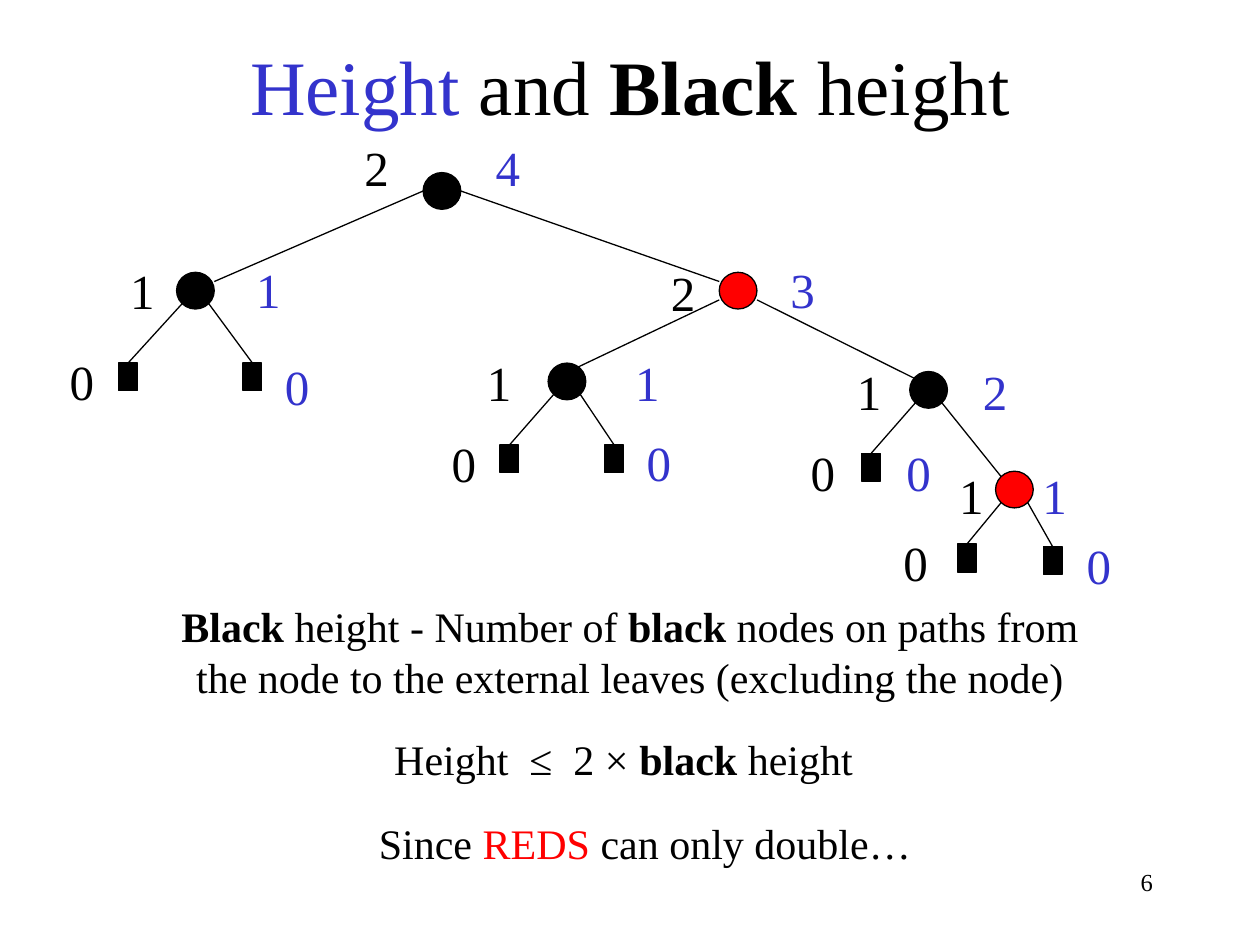
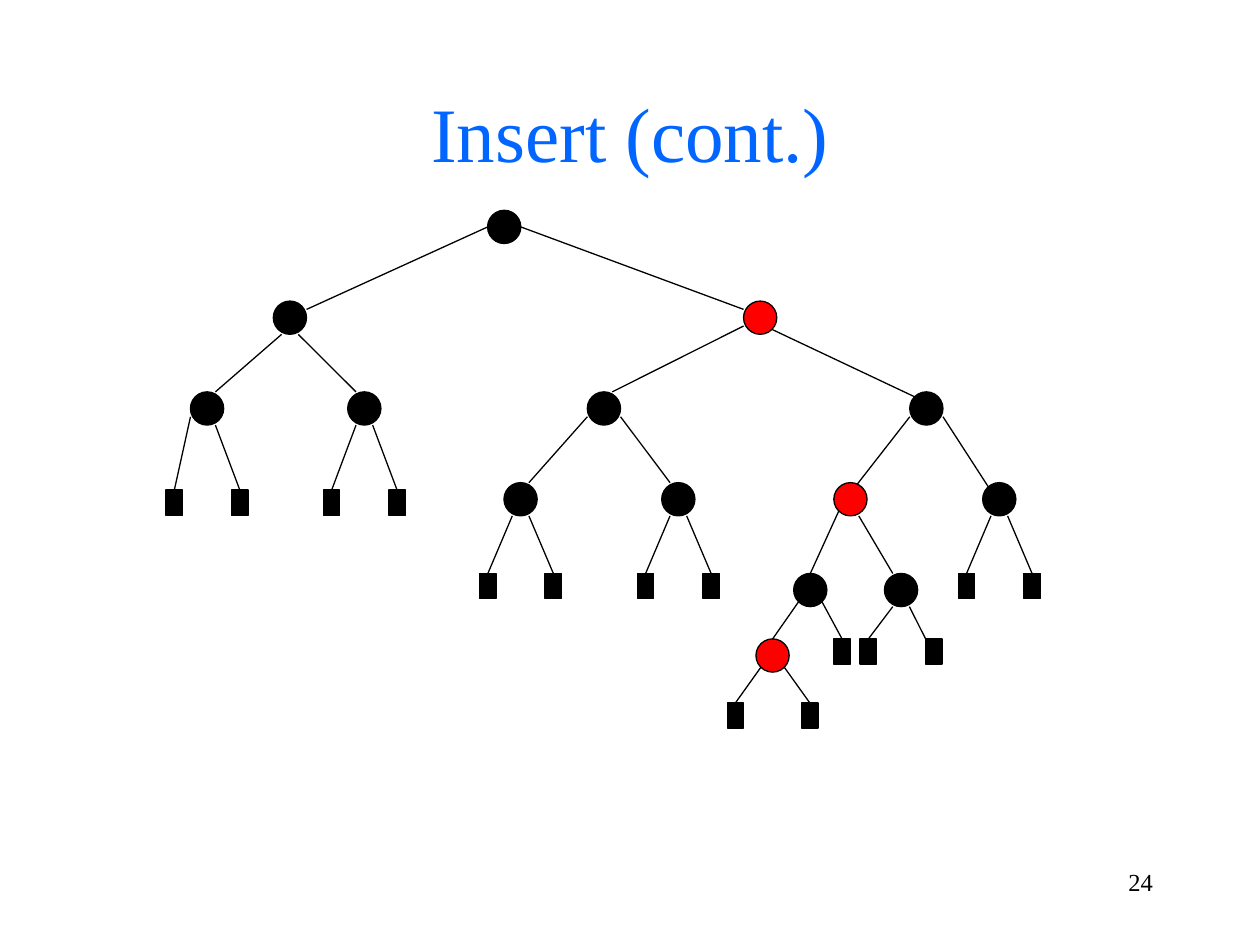
from dataclasses import dataclass

from lxml import etree
from pptx import Presentation
from pptx.dml.color import RGBColor
from pptx.enum.shapes import MSO_CONNECTOR, MSO_SHAPE
from pptx.enum.text import MSO_ANCHOR, PP_ALIGN
from pptx.oxml.ns import qn
from pptx.util import Cm, Pt

BLACK = RGBColor(0x00, 0x00, 0x00)
RED = RGBColor(0xFF, 0x00, 0x00)
INDIGO = RGBColor(0x33, 0x33, 0xCC)
BLUE = RGBColor(0x00, 0x66, 0xFF)

FONT = "Times New Roman"
LINE_WIDTH = Pt(0.75)
TITLE_SIZE, LABEL_SIZE, BODY_SIZE, NUMBER_SIZE = 44, 28, 24, 14

OVAL, RECTANGLE = MSO_SHAPE.OVAL, MSO_SHAPE.RECTANGLE
STRAIGHT = MSO_CONNECTOR.STRAIGHT
CENTER, RIGHT = PP_ALIGN.CENTER, PP_ALIGN.RIGHT
TOP, MIDDLE = MSO_ANCHOR.TOP, MSO_ANCHOR.MIDDLE

# Anchors: fractions of a node's width and height where a branch starts or ends
TOP_MIDDLE, TOP_LEFT = (0.5, 0), (0, 0)
WEST, EAST = (0, 0.5), (1, 0.5)
UPPER_WEST, UPPER_EAST = (0, 0.25), (1, 0.25)
LOWER_WEST, LOWER_EAST = (0, 0.75), (1, 0.75)
NORTH_WEST, SOUTH_WEST, SOUTH_EAST = (0.15, 0.15), (0.15, 0.85), (0.85, 0.85)
TOP_QUARTER, TOP_THREE_QUARTERS = (0.25, 0), (0.75, 0)
BOTTOM_QUARTER, BOTTOM_THREE_QUARTERS = (0.25, 1), (0.75, 1)

Anchor = tuple[float, float]


@dataclass(frozen=True)
class Span:
    text: str
    color: RGBColor = BLACK
    bold: bool = False


@dataclass(frozen=True)
class Node:
    """A tree node; its branch leaves the parent at start and arrives here at end."""
    x: float
    y: float
    start: Anchor = WEST
    end: Anchor = TOP_MIDDLE
    color: RGBColor = BLACK
    children: tuple["Node", ...] = ()
    is_leaf: bool = False


@dataclass(frozen=True)
class TreeStyle:
    circle: tuple[float, float]
    leaf: tuple[float, float]

    def size(self, node: Node) -> tuple[float, float]:
        return self.leaf if node.is_leaf else self.circle

    def point(self, node: Node, anchor: Anchor) -> tuple[int, int]:
        width, height = self.size(node)
        return Cm(node.x + width * anchor[0]), Cm(node.y + height * anchor[1])


HEIGHT_STYLE = TreeStyle(circle=(0.76, 0.74), leaf=(0.38, 0.56))
INSERT_STYLE = TreeStyle(circle=(0.67, 0.67), leaf=(0.33, 0.51))


def leaf(x: float, y: float, start: Anchor, end: Anchor = TOP_MIDDLE) -> Node:
    return Node(x, y, start, end, is_leaf=True)


def leaf_pair(parent_x: float, y: float, left: Anchor = BOTTOM_QUARTER,
              right: Anchor = BOTTOM_THREE_QUARTERS, right_end: Anchor = TOP_MIDDLE,
              spread: float = 0.66) -> tuple[Node, Node]:
    """Two leaves placed evenly on either side of a circle of the insert tree."""
    middle = parent_x + (INSERT_STYLE.circle[0] - INSERT_STYLE.leaf[0]) / 2
    return (leaf(middle - spread, y, left),
            leaf(middle + spread, y, right, right_end))


def level(depth: int) -> float:
    return 4.24 + 1.83 * depth


HEIGHT_TREE = Node(8.53, 3.48, children=(
    Node(3.56, 5.49, WEST, UPPER_EAST, children=(
        leaf(2.39, 7.32, SOUTH_WEST),
        leaf(4.9, 7.32, SOUTH_EAST))),
    Node(14.5, 5.49, EAST, UPPER_WEST, RED, (
        Node(11.05, 7.32, LOWER_WEST, (0.5, 0.25), children=(
            leaf(10.08, 8.97, SOUTH_WEST),
            leaf(12.19, 8.97, SOUTH_EAST))),
        Node(18.34, 7.49, LOWER_EAST, (0.25, 0.25), children=(
            leaf(17.37, 9.14, SOUTH_WEST),
            Node(20.07, 9.5, SOUTH_EAST, NORTH_WEST, RED, (
                leaf(19.3, 10.97, SOUTH_WEST),
                leaf(21.03, 11.02, SOUTH_EAST))))))),
))

INSERT_TREE = Node(9.83, level(0), children=(
    Node(5.51, level(1), WEST, UPPER_EAST, children=(
        Node(3.84, level(2), BOTTOM_QUARTER, TOP_THREE_QUARTERS,
             children=leaf_pair(3.84, 9.88, left=LOWER_WEST)),
        Node(7.01, level(2), BOTTOM_THREE_QUARTERS, TOP_QUARTER,
             children=leaf_pair(7.01, 9.88)))),
    Node(14.99, level(1), EAST, UPPER_WEST, RED, (
        Node(11.84, level(2), LOWER_WEST, TOP_THREE_QUARTERS, children=(
            Node(10.16, level(3), LOWER_WEST, TOP_THREE_QUARTERS,
                 children=leaf_pair(10.16, level(4))),
            Node(13.34, level(3), LOWER_EAST, TOP_QUARTER,
                 children=leaf_pair(13.34, level(4))))),
        Node(18.34, level(2), SOUTH_EAST, NORTH_WEST, children=(
            Node(16.81, level(3), LOWER_WEST, (0.7, 0.05), RED, (
                Node(16, level(4), SOUTH_WEST, TOP_MIDDLE, children=(
                    Node(15.24, 12.88, SOUTH_WEST, TOP_MIDDLE, RED,
                         leaf_pair(15.24, 14.17, SOUTH_WEST, SOUTH_EAST, spread=0.75)),
                    leaf(16.81, 12.88, SOUTH_EAST))),
                Node(17.83, level(4), BOTTOM_THREE_QUARTERS, TOP_QUARTER,
                     children=leaf_pair(17.83, 12.88, right_end=TOP_LEFT)))),
            Node(19.81, level(3), LOWER_EAST, (0.25, 0.25),
                 children=leaf_pair(19.81, level(4))))))),
))

# Labels beside the nodes: text, left, top
BLACK_HEIGHTS = (
    ("2", 6.88, 2.64), ("1", 2.16, 5.13), ("2", 13.06, 5.16), ("0", 0.94, 6.96),
    ("1", 9.35, 6.99), ("1", 16.81, 7.16), ("0", 8.64, 8.61), ("0", 15.88, 8.79),
    ("1", 18.87, 9.25), ("0", 17.75, 10.62),
)
HEIGHTS = (
    ("4", 9.53, 2.64), ("1", 4.7, 5.11), ("3", 15.47, 5.11), ("0", 5.28, 7.06),
    ("1", 12.34, 6.99), ("2", 19.35, 7.16), ("0", 12.57, 8.59), ("0", 17.81, 8.79),
    ("1", 20.55, 9.25), ("0", 21.44, 10.67),
)

# Explanations: left, top, height, lines of spans
EXPLANATIONS = (
    (0, 11.99, 2.31, (
        (Span("Black", bold=True), Span(" height - Number of "),
         Span("black", bold=True), Span(" nodes on paths from")),
        (Span("the node to the external leaves (excluding the node)"),))),
    (-0.13, 14.66, 1.27, (
        (Span("Height  ≤  2 × "), Span("black", bold=True), Span(" height")),)),
    (0.3, 16.36, 1.27, (
        (Span("Since "), Span("REDS ", RED), Span("can only double…")),)),
)


def add_text(page, box_cm: tuple[float, float, float, float],
             lines: tuple[tuple[Span, ...], ...], size: int,
             align: PP_ALIGN = CENTER, anchor: MSO_ANCHOR = TOP) -> None:
    box = page.shapes.add_textbox(*(Cm(value) for value in box_cm))
    frame = box.text_frame
    frame.word_wrap = True
    frame.vertical_anchor = anchor
    para = frame.paragraphs[0]
    para.alignment = align
    for index, line in enumerate(lines):
        if index:
            para.add_line_break()
        for span in line:
            run = para.add_run()
            run.text = span.text
            font_format = {"name": FONT, "size": Pt(size), "bold": span.bold}
            for name, value in font_format.items():
                setattr(run.font, name, value)
            run.font.color.rgb = span.color


def draw_node(page, node: Node, style: TreeStyle):
    width, height = style.size(node)
    shape = page.shapes.add_shape(RECTANGLE if node.is_leaf else OVAL,
                                  Cm(node.x), Cm(node.y), Cm(width), Cm(height))
    shape.shadow.inherit = False
    shape.fill.solid()
    shape.fill.fore_color.rgb = node.color
    shape.line.color.rgb = BLACK
    shape.line.width = LINE_WIDTH
    return shape


def draw_branch(page, parent: Node, child: Node, child_shape, style: TreeStyle) -> None:
    branch = page.shapes.add_connector(STRAIGHT, *style.point(parent, child.start),
                                       *style.point(child, child.end))
    if child.is_leaf and child.end == TOP_MIDDLE:
        branch.end_connect(child_shape, 0)
    branch.line.color.rgb = BLACK
    branch.line.width = LINE_WIDTH
    etree.SubElement(branch._element.spPr, qn("a:effectLst"))


def draw_tree(page, node: Node, style: TreeStyle):
    """Draw the node with everything below it and return the node's shape."""
    shape = draw_node(page, node, style)
    for child in node.children:
        draw_branch(page, node, child, draw_tree(page, child, style), style)
    return shape


def add_page(deck, number: int, title: tuple[Span, ...],
             title_box: tuple[float, float, float, float]):
    page = deck.slides.add_slide(deck.slide_layouts[6])
    add_text(page, (18.21, 17.35, 5.28, 1.27), ((Span(str(number)),),), NUMBER_SIZE, RIGHT)
    add_text(page, title_box, (title,), TITLE_SIZE, anchor=MIDDLE)
    return page


def build_height_page(deck) -> None:
    title = (Span("Height", INDIGO), Span(" and "), Span("Black", bold=True), Span(" height"))
    page = add_page(deck, 6, title, (0, 0.43, 25.4, 2.54))
    for left, top, height, lines in EXPLANATIONS:
        add_text(page, (left, top, 25.4, height), lines, BODY_SIZE)
    draw_tree(page, HEIGHT_TREE, HEIGHT_STYLE)
    for color, labels in ((INDIGO, HEIGHTS), (BLACK, BLACK_HEIGHTS)):
        for text, left, top in labels:
            add_text(page, (left, top, 1.42, 1.24), ((Span(text, color),),), LABEL_SIZE)


def build_insert_page(deck) -> None:
    page = add_page(deck, 24, (Span("Insert (cont.)", BLUE),), (1.91, 1.07, 21.59, 3.18))
    draw_tree(page, INSERT_TREE, INSERT_STYLE)


def main() -> None:
    deck = Presentation()
    deck.slide_width, deck.slide_height = Cm(25.4), Cm(19.05)
    build_height_page(deck)
    build_insert_page(deck)
    deck.save("out.pptx")


if __name__ == "__main__":
    main()
